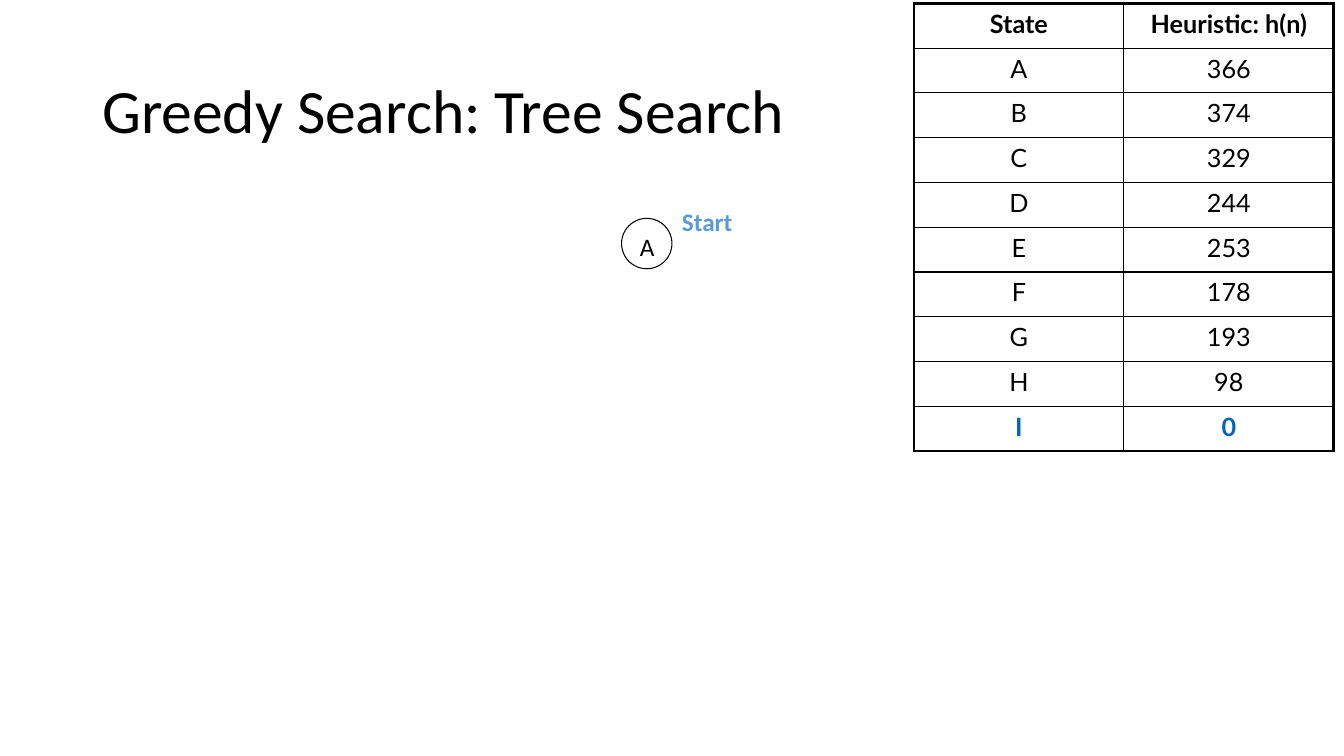
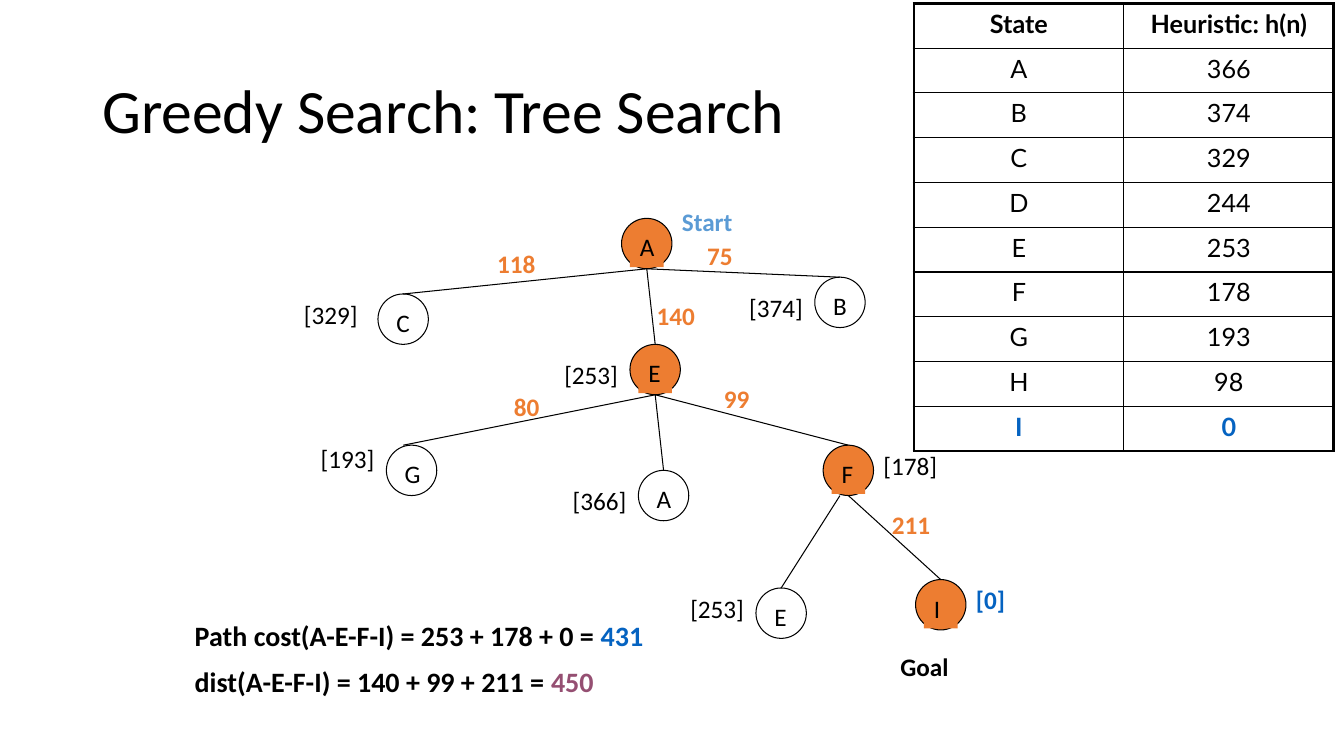
from dataclasses import dataclass

from lxml import etree
from pptx import Presentation
from pptx.dml.color import RGBColor
from pptx.enum.shapes import MSO_CONNECTOR, MSO_SHAPE
from pptx.enum.text import MSO_ANCHOR, PP_ALIGN
from pptx.oxml.ns import qn
from pptx.util import Inches, Pt

# ---- Content: places are in grid units, 12 to the inch (slide is 160 x 90) ----
TITLE = "Greedy Search: Tree Search"
HEURISTIC = [
    ("State", "Heuristic: h(n)"),
    ("A", "366"), ("B", "374"), ("C", "329"), ("D", "244"), ("E", "253"),
    ("F", "178"), ("G", "193"), ("H", "98"), ("I", "0"),
]

# key: (letter, column, row, on the chosen path)
FIRST_TREE = {"A": ("A", 74, 26, False)}
FULL_TREE = {
    "A": ("A", 74, 26, True),
    "B": ("B", 97, 33, False),
    "C": ("C", 45, 35, False),
    "E": ("E", 75, 41, True),
    "F": ("F", 98, 53, True),
    "I": ("I", 109, 69, True),
    "G": ("G", 46, 53, False),
    "A again": ("A", 76, 56, False),
    "E again": ("E", 90, 70, False),
}
# parent, child, shift of the upper end, shift of the lower end
EDGES = [
    ("A", "B", 0, 0), ("A", "C", 0, 0), ("A", "E", 0, 0),
    ("E", "F", 0, 0), ("E", "G", 0, -1), ("E", "A again", 0, 0),
    ("F", "I", 0, 0), ("F", "E again", -1, 0),
]
# text, column, row
COSTS = [
    ("99", 85, 45), ("211", 105, 60), ("80", 60, 46),
    ("75", 83, 28), ("118", 58, 29), ("140", 77, 35.2),
]
ESTIMATES = [
    ("[374]", 88, 34.2), ("[329]", 35, 35), ("[253]", 66, 42.2),
    ("[193]", 37, 52.2), ("[366]", 67, 57.2), ("[178]", 104, 53),
    ("[253]", 81, 70),
]
START = ("Start", 80, 24)
GOAL = ("Goal", 106, 77)
GOAL_ESTIMATE = ("[0]", 115, 69)


@dataclass(frozen=True)
class Theme:
    ink: str = "000000"
    orange: str = "ED7D31"
    sky: str = "5B9BD5"
    blue: str = "0563C1"
    plum: str = "954F72"
    font: str = "Calibri"
    table_font: str = "Lato"
    title_size: int = 44
    sum_size: int = 20
    body_size: int = 18
    thin: float = 0.75
    inner_rule: float = 1
    outer_rule: float = 2.25


THEME = Theme()
SUMS = [
    [("Path cost(A-E-F-I) = 253 + 178 + 0 = ", THEME.ink), ("431", THEME.blue)],
    [("dist(A-E-F-I) = 140 + 99 + 211 = ", THEME.ink), ("450", THEME.plum)],
]

# ---- Measures in grid units ----
NODE = 6
LETTER_INSET, LETTER_WIDTH = 1, 4
LABEL_HEIGHT = 4.8
COST_WIDTH, ESTIMATE_WIDTH, NOTE_WIDTH = 10, 11, 16
TITLE_BOX = (11, 4.8, 138, 17.4)
SUMS_BOX = (22, 73, 72, 11.3)
TABLE_BOX = (108.8, 0.4, 50, 53.3)


def grid(*units):
    return [Inches(unit / 12) for unit in units]


def write(frame, text, *, size=THEME.body_size, color=THEME.ink, bold=False,
          font=THEME.font, align=PP_ALIGN.LEFT, anchor=MSO_ANCHOR.TOP,
          spacing=None, gap=0):
    """Fill a frame with a string, or with paragraphs of (text, colour) runs."""
    paragraphs = [[(text, color)]] if isinstance(text, str) else text
    frame.word_wrap = True
    frame.vertical_anchor = anchor
    for index, runs in enumerate(paragraphs):
        paragraph = frame.add_paragraph() if index else frame.paragraphs[0]
        paragraph.alignment = align
        if spacing:
            paragraph.line_spacing = spacing
        if index and gap:
            paragraph.space_before = Pt(gap)
        for words, run_color in runs:
            run = paragraph.add_run()
            run.text = words
            run.font.size, run.font.name, run.font.bold = Pt(size), font, bold
            run.font.color.rgb = RGBColor.from_string(run_color)


def add_label(shapes, text, box, **style):
    label = shapes.add_textbox(*grid(*box))
    write(label.text_frame, text, **style)
    return label


def paint(shape, color):
    if color:
        shape.fill.solid()
        shape.fill.fore_color.rgb = RGBColor.from_string(color)
    else:
        shape.fill.background()


def outline(shape):
    shape.line.color.rgb = RGBColor.from_string(THEME.ink)
    shape.line.width = Pt(THEME.thin)


def add_node(slide, letter, column, row, chosen):
    color = THEME.orange if chosen else None
    node = slide.shapes.add_group_shape().shapes
    circle = node.add_shape(MSO_SHAPE.OVAL, *grid(column, row, NODE, NODE))
    circle.shadow.inherit = False
    paint(circle, color)
    outline(circle)
    box = (column + LETTER_INSET, row + LETTER_INSET, LETTER_WIDTH, LABEL_HEIGHT)
    paint(add_label(node, letter, box), color)


def add_edge(slide, parent, child, upper_shift, lower_shift):
    """Join the foot of the parent to the top of the child."""
    _, parent_column, parent_row, _ = parent
    _, child_column, child_row, _ = child
    edge = slide.shapes.add_connector(MSO_CONNECTOR.STRAIGHT, *grid(
        parent_column + NODE / 2 + upper_shift, parent_row + NODE,
        child_column + NODE / 2 + lower_shift, child_row))
    outline(edge)
    etree.SubElement(edge._element.spPr, qn("a:effectLst"))


def add_notes(slide, notes, width, **style):
    for text, column, row in notes:
        add_label(slide.shapes, text, (column, row, width, LABEL_HEIGHT), **style)


def rule_cell(cell, outer_sides):
    properties = cell._tc.get_or_add_tcPr()
    for side in "LRTB":
        width = THEME.outer_rule if side in outer_sides else THEME.inner_rule
        line = etree.SubElement(properties, qn(f"a:ln{side}"), w=str(Pt(width)))
        fill = etree.SubElement(line, qn("a:solidFill"))
        etree.SubElement(fill, qn("a:srgbClr"), val=THEME.ink)


def add_heuristic_table(slide):
    rows, columns = len(HEURISTIC), len(HEURISTIC[0])
    table = slide.shapes.add_table(rows, columns, *grid(*TABLE_BOX)).table
    table.first_row = table.horz_banding = False
    for r, entries in enumerate(HEURISTIC):
        for c, entry in enumerate(entries):
            head, goal = r == 0, r == rows - 1
            cell = table.cell(r, c)
            rule_cell(cell, ("R" if c else "L") + "T" * head + "B" * goal)
            cell.fill.background()
            write(cell.text_frame, entry, font=THEME.table_font,
                  align=PP_ALIGN.CENTER, bold=head or goal,
                  color=THEME.blue if goal else THEME.ink)


def add_search_slide(deck, tree, edges=()):
    """Build what every step shares: title, tree, start mark and table."""
    slide = deck.slides.add_slide(deck.slide_layouts[6])
    add_label(slide.shapes, TITLE, TITLE_BOX, size=THEME.title_size,
              anchor=MSO_ANCHOR.MIDDLE, spacing=0.9)
    for node in tree.values():
        add_node(slide, *node)
    for parent, child, *shifts in edges:
        add_edge(slide, tree[parent], tree[child], *shifts)
    add_notes(slide, [START], NOTE_WIDTH, color=THEME.sky, bold=True)
    add_heuristic_table(slide)
    return slide


def main():
    deck = Presentation()
    deck.slide_width, deck.slide_height = grid(160, 90)

    # First step: only the start node
    add_search_slide(deck, FIRST_TREE)

    # Last step: whole tree with costs, estimates and sums
    result = add_search_slide(deck, FULL_TREE, EDGES)
    add_notes(result, COSTS, COST_WIDTH, color=THEME.orange, bold=True)
    add_notes(result, ESTIMATES, ESTIMATE_WIDTH)
    add_notes(result, [GOAL_ESTIMATE], ESTIMATE_WIDTH, color=THEME.blue, bold=True)
    add_notes(result, [GOAL], NOTE_WIDTH, bold=True)
    add_label(result.shapes, SUMS, SUMS_BOX, size=THEME.sum_size, bold=True, gap=9)

    deck.save("out.pptx")


if __name__ == "__main__":
    main()
